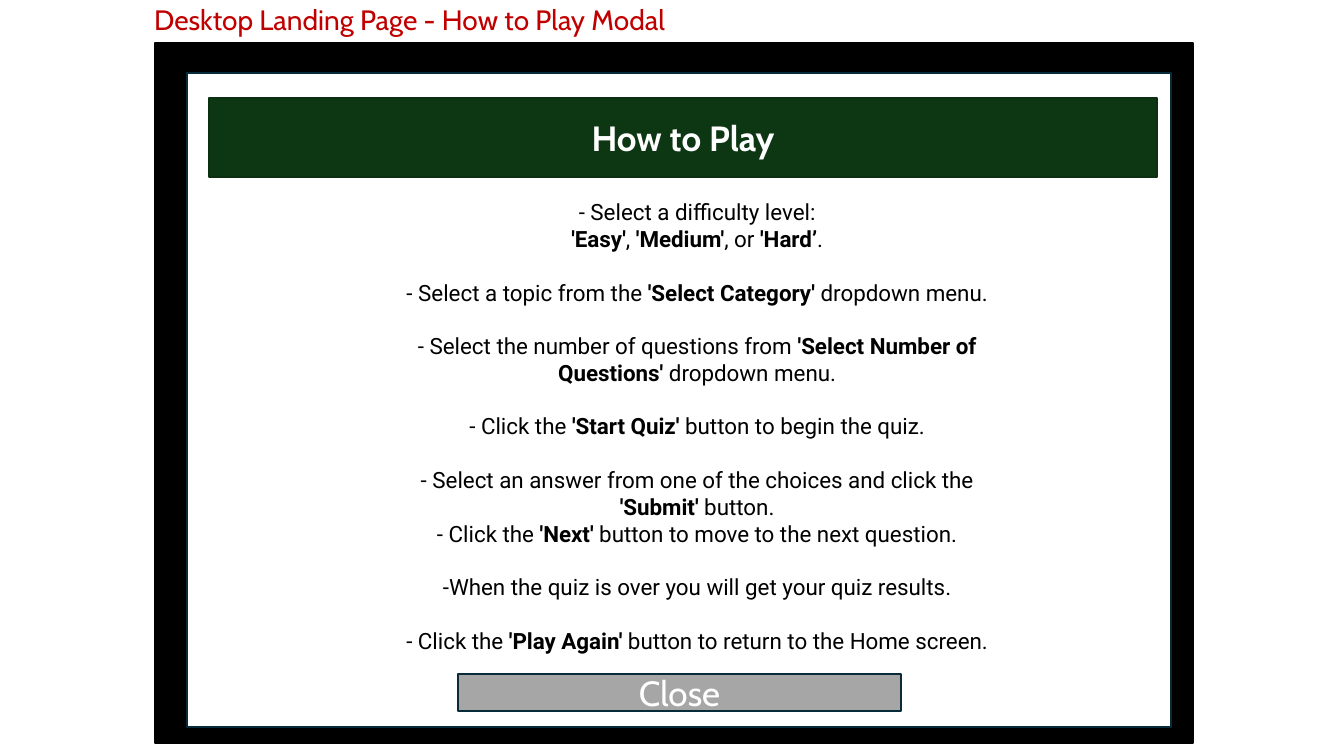
from dataclasses import dataclass

from pptx import Presentation
from pptx.dml.color import RGBColor
from pptx.enum.shapes import MSO_SHAPE as SHAPE
from pptx.enum.text import MSO_ANCHOR as ANCHOR, MSO_AUTO_SIZE as AUTO_SIZE, PP_ALIGN as ALIGN
from pptx.oxml import parse_xml
from pptx.oxml.ns import nsdecls
from pptx.util import Inches, Pt

BLACK = RGBColor(0x00, 0x00, 0x00)
WHITE = RGBColor(0xFF, 0xFF, 0xFF)
GREEN = RGBColor(0x0D, 0x36, 0x12)
DARK_GREEN = RGBColor(0x0B, 0x2F, 0x10)
NAVY = RGBColor(0x09, 0x2A, 0x39)
GREY = RGBColor(0xA6, 0xA6, 0xA6)
RED = RGBColor(0xC0, 0x00, 0x00)

HEADING_FONT = "Cabin"
BODY_FONT = "Roboto"
EMU_PER_PX = 914400 / 100.8
BODY_GAP = 19


@dataclass(frozen=True)
class Box:
    x: int
    y: int
    w: int
    h: int
    fill: RGBColor
    line: RGBColor
    text: str = ""
    bold: bool = False


@dataclass(frozen=True)
class Step:
    """One instruction: *bold* parts, and the space above it in points."""
    text: str
    gap: int = BODY_GAP


BOXES = [
    Box(155, 43, 1038, 700, BLACK, BLACK),
    Box(187, 73, 984, 654, WHITE, NAVY),
    Box(209, 98, 948, 79, GREEN, DARK_GREEN, "How to Play", True),
    Box(458, 674, 443, 37, GREY, NAVY, "Close"),
]

STEPS = [
    Step("- Select a difficulty level:\n*'Easy'*, *'Medium'*, or *'Hard’*.", 0),
    Step("- Select a topic from the *'Select Category'* dropdown menu."),
    Step("- Select the number of questions from *'Select Number of Questions'* dropdown menu."),
    Step("- Click the *'Start Quiz'* button to begin the quiz."),
    Step("- Select an answer from one of the choices and click the *'Submit'* button."),
    Step("- Click the *'Next'* button to move to the next question.", 0),
    Step("-When the quiz is over you will get your quiz results."),
    Step("- Click the *'Play Again'* button to return to the Home screen."),
]


def px(n: int) -> int:
    return round(n * EMU_PER_PX)


def place(sp, x: int, y: int, w: int, h: int) -> None:
    sp.left, sp.top, sp.width, sp.height = px(x), px(y), px(w), px(h)


def write(p, text: str, *, font: str, size: int, color: RGBColor, bold: bool = False,
          align=ALIGN.CENTER, before: int = 0, after: int = 0) -> None:
    """Fill a paragraph; *stars* switch bold and a newline breaks the line."""
    p.alignment = align
    p.space_before, p.space_after = Pt(before), Pt(after)
    for i, part in enumerate(text.split("*")):
        for j, line in enumerate(part.split("\n")):
            if j:
                p.add_line_break()
            if line:
                r = p.add_run()
                r.text = line
                r.font.name, r.font.size = font, Pt(size)
                r.font.bold = bold or i % 2 == 1
                r.font.color.rgb = color


def add_box(s, box: Box) -> None:
    sp = s.shapes.add_shape(SHAPE.RECTANGLE, px(box.x), px(box.y), px(box.w), px(box.h))
    sp.shadow.inherit = False
    sp.fill.solid()
    sp.fill.fore_color.rgb = box.fill
    sp.line.color.rgb = box.line
    sp.line.width = Pt(1.5)
    if box.text:
        tf = sp.text_frame
        tf.vertical_anchor = ANCHOR.MIDDLE
        write(tf.paragraphs[0], box.text, font=HEADING_FONT, size=25, color=WHITE, bold=box.bold)


def set_frame(sp, anchor):
    tf = sp.text_frame
    tf.word_wrap = True
    tf.auto_size = AUTO_SIZE.NONE
    tf.vertical_anchor = anchor
    return tf


def fill_title(sp) -> None:
    place(sp, 144, -3, 618, 44)
    tf = set_frame(sp, ANCHOR.TOP)
    write(tf.paragraphs[0], "Desktop Landing Page - How to Play Modal", font=HEADING_FONT,
          size=20, color=RED, align=ALIGN.LEFT, after=6)


def fill_steps(sp) -> None:
    place(sp, 333, 190, 678, 472)
    tf = set_frame(sp, ANCHOR.MIDDLE)
    for i, step in enumerate(STEPS):
        p = tf.add_paragraph() if i else tf.paragraphs[0]
        write(p, step.text, font=BODY_FONT, size=16, color=BLACK, before=step.gap)
        pPr = p._p.get_or_add_pPr()
        pPr.set("marL", str(Inches(0.5)))
        pPr.set("indent", "0")
        pPr.append(parse_xml(f"<a:buNone {nsdecls('a')}/>"))


def main() -> None:
    prs = Presentation()
    prs.slide_width, prs.slide_height = px(1344), px(756)
    s = prs.slides.add_slide(prs.slide_layouts[1])
    title, body = s.shapes.title, s.placeholders[1]
    for box in BOXES:
        add_box(s, box)
    fill_steps(body)
    fill_title(title)
    for sp in (body, title):  # bring the text in front of the panels
        s.shapes.element.append(sp.element)
    prs.save("out.pptx")


if __name__ == "__main__":
    main()
